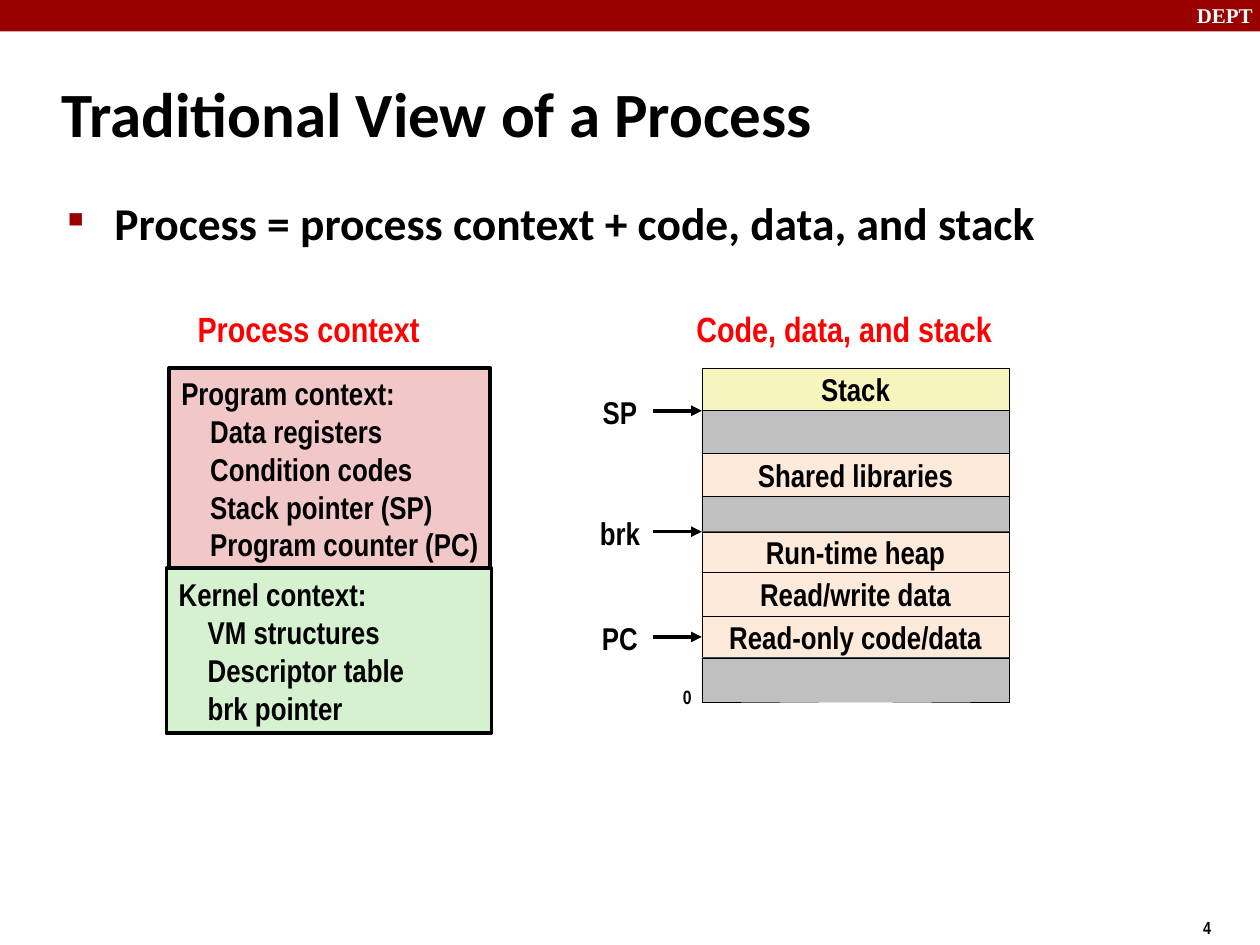
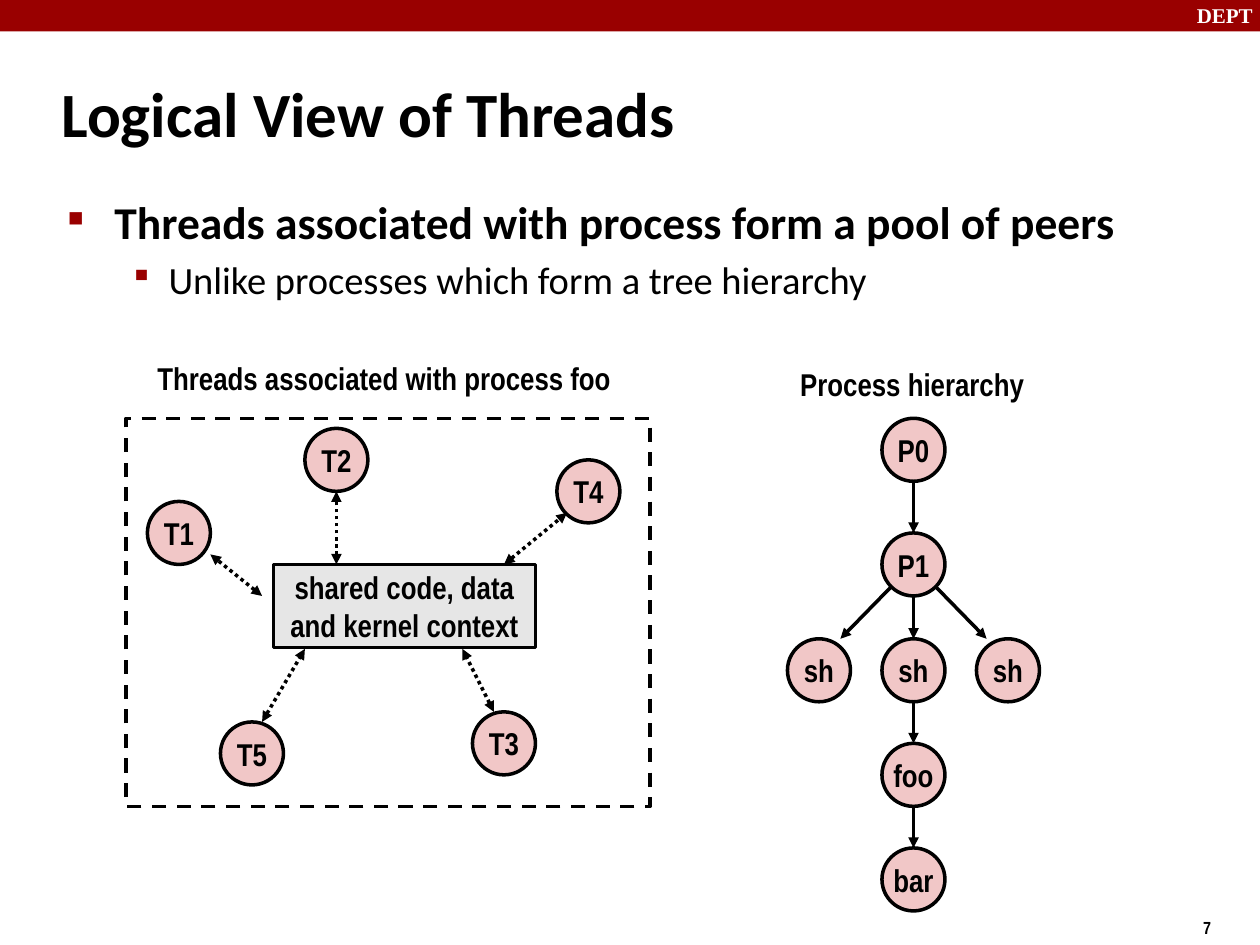
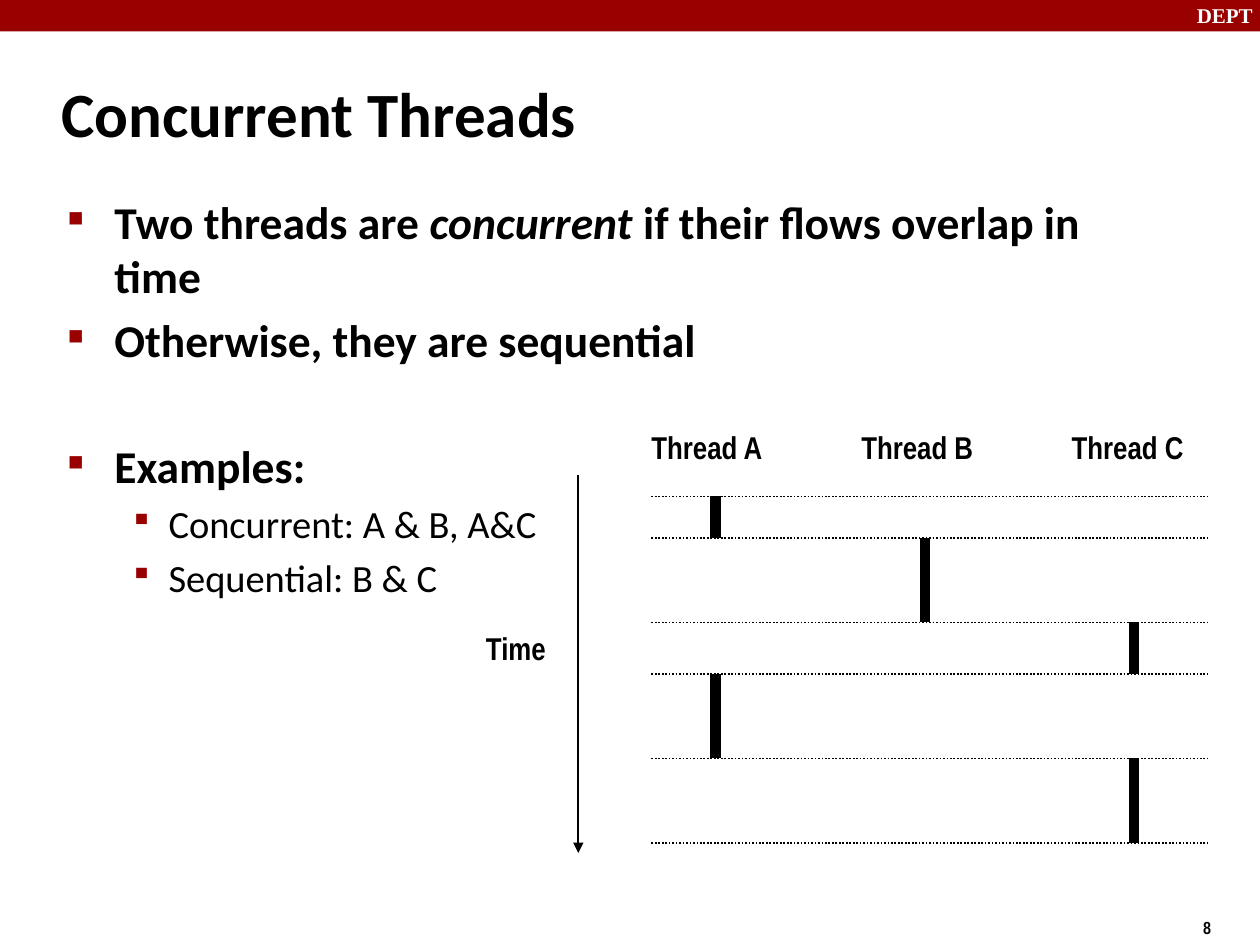
from dataclasses import dataclass
from itertools import accumulate

from lxml.etree import SubElement
from pptx import Presentation
from pptx.dml.color import RGBColor as RGB
from pptx.enum.dml import MSO_LINE_DASH_STYLE as Dash
from pptx.enum.shapes import MSO_CONNECTOR as Link, MSO_SHAPE as Shape
from pptx.enum.text import MSO_ANCHOR as Anchor, PP_ALIGN as Align
from pptx.oxml.ns import qn
from pptx.util import Inches, Pt


class Theme:
    """Colours and type styles shared by all slides."""
    BLACK, WHITE = RGB(0, 0, 0), RGB(255, 255, 255)
    CRIMSON, RED = RGB(0x99, 0, 0), RGB(255, 0, 0)
    PINK, GREEN = RGB(0xF1, 0xC7, 0xC7), RGB(0xD5, 0xF1, 0xCF)
    PEACH, YELLOW = RGB(0xFD, 0xEA, 0xDA), RGB(0xF6, 0xF5, 0xBD)
    GREY, PALE = RGB(0xC0, 0xC0, 0xC0), RGB(0xE6, 0xE6, 0xE6)
    TYPE = {
        "title": dict(name="Calibri", size=Pt(36), bold=True),
        "point": dict(name="Calibri", size=Pt(26), bold=True),
        "subpoint": dict(name="Calibri", size=Pt(22), bold=False),
        "heading": dict(name="Arial Narrow", size=Pt(20), bold=True),
        "label": dict(name="Arial Narrow", size=Pt(18), bold=True),
        "origin": dict(name="Arial Narrow", size=Pt(11), bold=True),
        "number": dict(name="Arial Narrow", size=Pt(10), bold=True),
        "brand": dict(name="Times New Roman", size=Pt(12), bold=True),
    }
    # style: left margin, hanging indent, space before, bullet, bullet size in %
    BULLETS = {
        "point": (0.38, -0.37, 5.2, "■", 47),
        "subpoint": (0.81, -0.31, 4.4, "▪", 83),
    }


def to_lengths(*values):
    return [Inches(round(value, 3)) for value in values]


@dataclass
class Box:
    left: float
    top: float
    width: float
    height: float

    def inner(self, dx, dy, width, height):
        return Box(self.left + dx, self.top + dy, width, height)

    def point(self, dx, dy):
        return self.left + dx, self.top + dy

    def lengths(self):
        return to_lengths(self.left, self.top, self.width, self.height)


# ---- Building blocks ----
def add_run(paragraph, text, style, color=Theme.BLACK, italic=None):
    run = paragraph.add_run()
    run.text = text
    for attr, value in {**Theme.TYPE[style], "italic": italic}.items():
        setattr(run.font, attr, value)
    run.font.color.rgb = color


def write(shape, lines, style, color=Theme.BLACK, align=Align.CENTER,
          anchor=Anchor.MIDDLE, wrap=False):
    """Text that does not wrap gets the full width of its shape."""
    frame = shape.text_frame
    layout = dict(word_wrap=wrap, vertical_anchor=anchor)
    if not wrap:
        layout.update(margin_left=0, margin_right=0)
    for attr, value in layout.items():
        setattr(frame, attr, value)
    for index, line in enumerate(lines):
        paragraph = frame.add_paragraph() if index else frame.paragraphs[0]
        paragraph.alignment = align
        add_run(paragraph, line, style, color)
    return frame


def add_label(slide, box, text, style="label", **options):
    return write(slide.shapes.add_textbox(*box.lengths()), [text], style, **options)


def add_block(slide, box, fill=None, weight=2, kind=Shape.RECTANGLE, lines=()):
    block = slide.shapes.add_shape(kind, *box.lengths())
    block.shadow.inherit = False
    if fill is None:
        block.fill.background()
    else:
        block.fill.solid()
        block.fill.fore_color.rgb = fill
    if weight:
        block.line.color.rgb = Theme.BLACK
        block.line.width = Pt(weight)
    else:
        block.line.fill.background()
    if lines:
        write(block, lines, "label")
    return block


def add_line(slide, start, end, weight=2, dash=None, arrows=()):
    line = slide.shapes.add_connector(Link.STRAIGHT, *to_lengths(*start, *end))
    line.line.color.rgb = Theme.BLACK
    line.line.width = Pt(weight)
    if dash:
        line.line.dash_style = dash
    outline = line.line._get_or_add_ln()
    for arrow in arrows:
        SubElement(outline, qn(f"a:{arrow}"), type="triangle")
    SubElement(line._element.spPr, qn("a:effectLst"))
    return line


ONE_WAY, TWO_WAY = ("tailEnd",), ("headEnd", "tailEnd")


def add_node(slide, box, name):
    add_block(slide, box, Theme.PINK, kind=Shape.OVAL, lines=[name])


# ---- Regions on every slide ----
def add_frame(slide, title, number):
    add_block(slide, Box(0, 0, 10, 0.25), Theme.CRIMSON, weight=0)
    corner = dict(align=Align.LEFT, anchor=Anchor.TOP, wrap=True)
    add_label(slide, Box(9.4, -0.03, 0.67, 0.3), "DEPT", "brand",
              color=Theme.WHITE, **corner)
    add_label(slide, Box(9.45, 7.23, 0.75, 0.29), str(number), "number", **corner)
    add_label(slide, Box(0.39, 0.48, 8.3, 0.83), title, "title",
              align=Align.LEFT, wrap=True)


def add_bullets(slide, box, points):
    """Each point is a style, its (text, italic) runs and any extra space before."""
    frame = slide.shapes.add_textbox(*box.lengths()).text_frame
    frame.word_wrap = True
    for index, (style, runs, gap) in enumerate(points):
        paragraph = frame.add_paragraph() if index else frame.paragraphs[0]
        margin, indent, before, char, percent = Theme.BULLETS[style]
        paragraph.space_before = Pt(before + gap)
        props = paragraph._p.get_or_add_pPr()
        props.set("marL", str(Inches(margin)))
        props.set("indent", str(Inches(indent)))
        SubElement(SubElement(props, qn("a:buClr")), qn("a:srgbClr"),
                   val=str(Theme.CRIMSON))
        SubElement(props, qn("a:buSzPct"), val=str(percent * 1000))
        SubElement(props, qn("a:buChar"), char=char)
        for text, italic in runs:
            add_run(paragraph, text, style, italic=italic)


def plain(style, text, gap=0):
    return style, [(text, None)], gap


# ---- Process slide ----
def add_context(slide, box, fill, heading, items):
    block = add_block(slide, box, fill)
    frame = write(block, [heading, *items], "label", align=Align.LEFT, wrap=True)
    frame.margin_right = 0
    for item in frame.paragraphs[1:]:
        item._p.get_or_add_pPr().set("marL", str(Inches(0.23)))


def add_memory(slide, box):
    segments = [
        ("Stack", Theme.YELLOW, 0.34), ("", Theme.GREY, 0.34),
        ("Shared libraries", Theme.PEACH, 0.34), ("", Theme.GREY, 0.28),
        ("Run-time heap", Theme.PEACH, 0.32), ("Read/write data", Theme.PEACH, 0.35),
        ("Read-only code/data", Theme.PEACH, 0.33), ("", Theme.GREY, 0.35),
    ]
    tops = list(accumulate((height for *_, height in segments), initial=0))
    blocks = [
        add_block(slide, box.inner(0, top, box.width, height), fill, 0.25,
                  lines=[name] if name else ())
        for (name, fill, height), top in zip(segments, tops)]
    add_label(slide, box.inner(-0.25, 2.47, 0.27, 0.28), "0", "origin")

    # Pointers into the memory image
    code_middle = (tops[6] + tops[7]) / 2
    for name, level, target in (("SP", tops[1], None), ("brk", tops[4], None),
                                ("PC", code_middle, blocks[6])):
        add_label(slide, box.inner(-0.9, level - 0.19, 0.5, 0.4), name)
        arrow = add_line(slide, box.point(-0.39, level), box.point(0, level),
                         arrows=ONE_WAY)
        if target:
            arrow.end_connect(target, 1)


def build_process(slide):
    add_frame(slide, "Traditional View of a Process", 4)
    add_bullets(slide, Box(0.43, 1.5, 8.63, 5.44), [
        plain("point", "Process = process context + code, data, and stack")])
    for left, width, heading in ((1.47, 1.96, "Process context"),
                                 (5.43, 2.54, "Code, data, and stack")):
        add_label(slide, Box(left, 2.39, width, 0.43), heading, "heading",
                  color=Theme.RED)
    add_context(slide, Box(1.34, 2.92, 2.55, 1.6), Theme.PINK, "Program context:",
                ["Data registers", "Condition codes", "Stack pointer (SP)",
                 "Program counter (PC)"])
    add_context(slide, Box(1.32, 4.51, 2.58, 1.31), Theme.GREEN, "Kernel context:",
                ["VM structures", "Descriptor table", "brk pointer"])
    add_memory(slide, Box(5.57, 2.92, 2.44, 2.65))


# ---- Thread pool slide ----
def add_pool(slide, box):
    border = add_block(slide, box)
    border.line.dash_style = Dash.DASH
    add_label(slide, box.inner(0.16, -0.52, 3.78, 0.4),
              "Threads associated with process foo")
    add_block(slide, box.inner(1.17, 1.16, 2.08, 0.66), Theme.PALE,
              lines=["shared code, data", "and kernel context"])
    # Thread: node corner, arrow start, arrow end
    threads = {
        "T1": ((0.17, 0.66), (1.08, 1.41), (0.67, 1.08)),
        "T2": ((1.42, 0.08), (1.67, 1.16), (1.67, 0.58)),
        "T3": ((2.75, 2.33), (2.92, 2.33), (2.67, 1.83)),
        "T4": ((3.42, 0.33), (3, 1.16), (3.5, 0.75)),
        "T5": ((0.75, 2.41), (1.08, 2.41), (1.42, 1.83)),
    }
    for name, (corner, start, end) in threads.items():
        add_node(slide, box.inner(*corner, 0.5, 0.5), name)
        add_line(slide, box.point(*start), box.point(*end),
                 dash=Dash.ROUND_DOT, arrows=TWO_WAY)


def add_hierarchy(slide, box):
    add_label(slide, box.inner(0.01, -0.47, 1.96, 0.4), "Process hierarchy")
    size, middle, step = 0.5, 0.75, 0.75
    chain = {"P0": 0, "P1": 0.91, "sh": 1.75, "foo": 2.58, "bar": 3.41}
    for name, top in chain.items():
        add_node(slide, box.inner(middle, top, size, size), name)
    axis = middle + size / 2
    tops = list(chain.values())
    for parent, child in zip(tops, tops[1:]):
        add_line(slide, box.point(axis, parent + size), box.point(axis, child),
                 arrows=ONE_WAY)
    for side in (-1, 1):
        add_node(slide, box.inner(middle + side * step, chain["sh"], size, size), "sh")
        add_line(slide, box.point(axis + side * 0.17, chain["P1"] + 0.42),
                 box.point(axis + side * 0.58, chain["sh"]), arrows=ONE_WAY)


def build_threads(slide):
    add_frame(slide, "Logical View of Threads", 7)
    add_bullets(slide, Box(0.43, 1.49, 8.63, 5.44), [
        plain("point", "Threads associated with process form a pool of peers"),
        plain("subpoint", "Unlike processes which form a tree hierarchy")])
    add_pool(slide, Box(1, 3.32, 4.16, 3.08))
    add_hierarchy(slide, Box(6.25, 3.32, 2, 3.91))


# ---- Concurrency slide ----
def add_timeline(slide, box):
    # Time axis
    add_line(slide, box.point(-0.58, -0.17), box.point(-0.58, 2.83), 1, arrows=ONE_WAY)
    add_label(slide, box.inner(-1.41, 1, 0.67, 0.4), "Time", anchor=Anchor.TOP)

    for column, name in enumerate("ABC"):
        add_label(slide, box.inner(-0.1 + 1.67 * column, -0.59, 1.08, 0.4),
                  f"Thread {name}", anchor=Anchor.TOP)

    # Switches between threads, and the thread that runs in each interval
    switches = [0, 0.33, 1, 1.41, 2.08, 2.75]
    for start, end, thread in zip(switches, switches[1:], "ABCAC"):
        lane = 0.51 + 1.66 * "ABC".index(thread)
        add_line(slide, box.point(lane, start), box.point(lane, end), 6)
    for level in switches:
        add_line(slide, box.point(0, level), box.point(box.width, level), 1,
                 dash=Dash.ROUND_DOT)


def build_concurrency(slide):
    add_frame(slide, "Concurrent Threads", 8)
    add_bullets(slide, Box(0.43, 1.49, 8.63, 5.44), [
        ("point", [("Two threads are ", None), ("concurrent", True),
                   (" if their flows overlap in time", None)], 0),
        plain("point", "Otherwise, they are sequential"),
        plain("point", "Examples:", gap=35.5),
        plain("subpoint", "Concurrent: A & B, A&C"),
        plain("subpoint", "Sequential: B & C")])
    add_timeline(slide, Box(5.17, 3.94, 4.42, 2.75))


def main():
    deck = Presentation()
    deck.slide_width, deck.slide_height = Inches(10), Inches(7.5)
    blank = deck.slide_layouts[6]
    for build in (build_process, build_threads, build_concurrency):
        build(deck.slides.add_slide(blank))
    deck.save("out.pptx")


if __name__ == "__main__":
    main()
